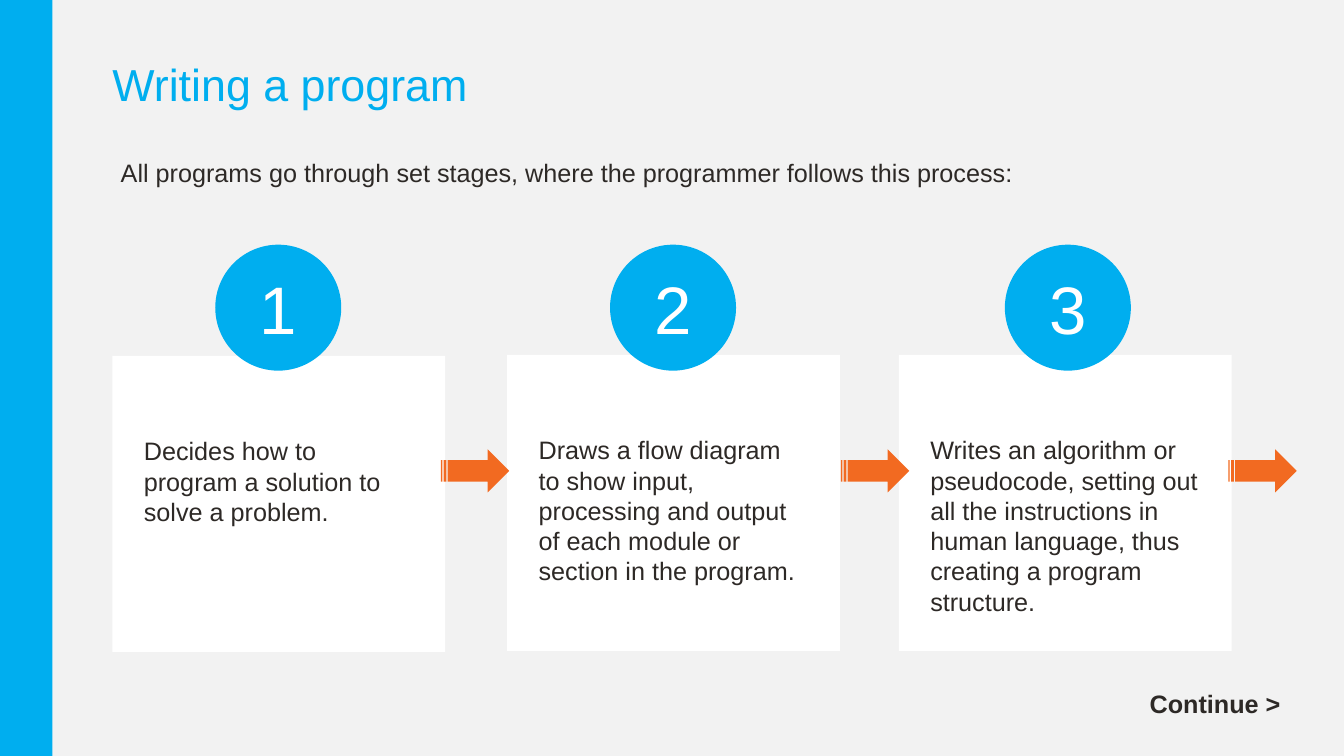
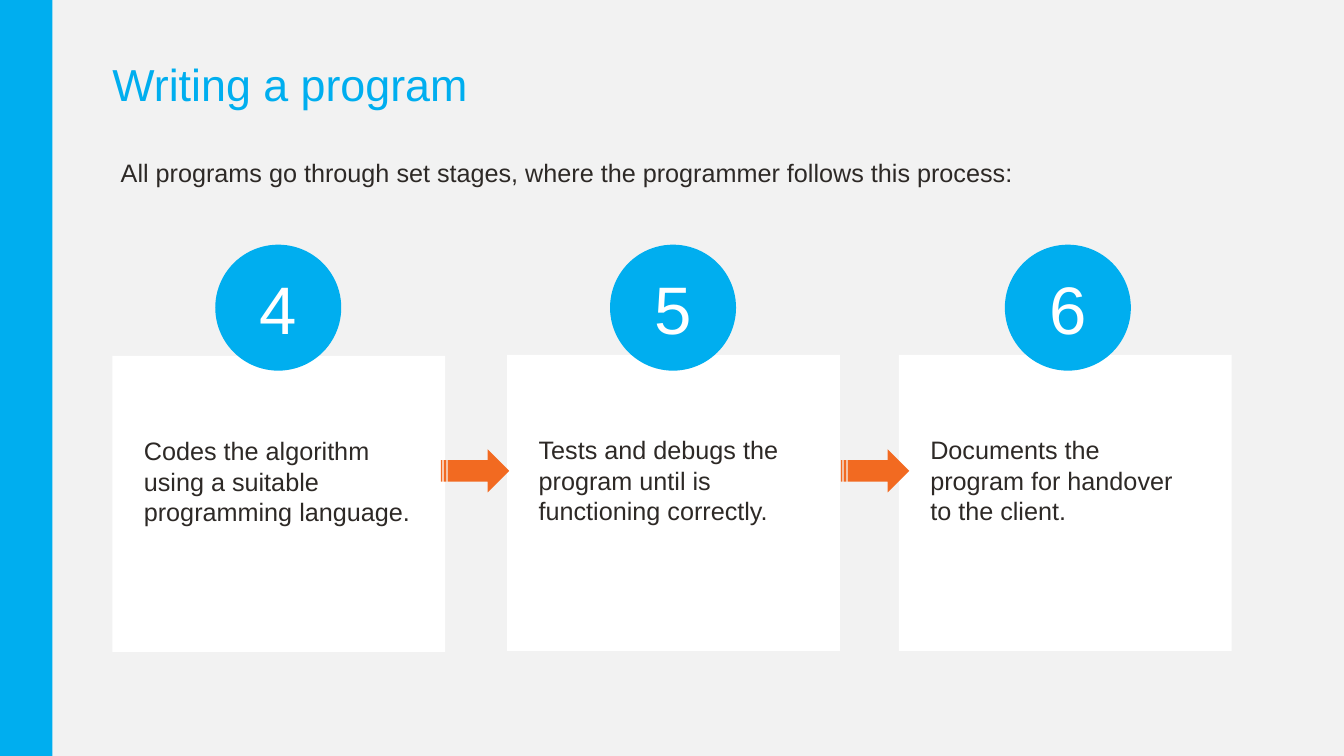
"""Build two slides on the stages of writing a program."""
import dataclasses
import typing

import pptx
import pptx.dml.color
import pptx.enum.shapes
import pptx.enum.text
import pptx.util

SCALE = 9525
WIDTH, HEIGHT = 1280, 720
KIND = pptx.enum.shapes.MSO_SHAPE
ALIGN = pptx.enum.text.PP_ALIGN
ANCHOR = pptx.enum.text.MSO_ANCHOR


@dataclasses.dataclass(frozen=True)
class Theme:
    font: str = "Arial"
    page: str = "F2F2F2"
    blue: str = "00AEEF"
    orange: str = "F26A21"
    white: str = "FFFFFF"
    ink: str = "2D2926"
    title: int = 32
    body: int = 18
    digit: int = 48


@dataclasses.dataclass(frozen=True)
class Box:
    left: int
    top: int
    width: int
    height: int


@dataclasses.dataclass(frozen=True)
class Stage:
    digit: int
    words: str


@dataclasses.dataclass(frozen=True)
class Page:
    stages: tuple[Stage, ...]
    more: bool


THEME = Theme()
TITLE = "Writing a program"
INTRO = "All programs go through set stages, where the programmer follows this process:"
BAND = Box(0, 0, 50, HEIGHT)
HEAD = Box(107, 21, 910, 124)
LEAD = Box(105, 145, 1065, 38)
NEXT = Box(1085, 651, 145, 38)
CARDS = (Box(107, 339, 317, 282), Box(483, 338, 317, 282), Box(856, 338, 317, 282))
DISCS = tuple(Box(205 + 376 * col, 233, 120, 120) for col in range(3))
ARROWS = tuple(Box(left, 428, 65, 41) for left in (420, 801, 1170))
PAGES = (
    Page((
        Stage(1, "Decides how to program a solution to solve a problem."),
        Stage(2, "Draws a flow diagram to show input, processing and output of each "
                 "module or section in the program."),
        Stage(3, "Writes an algorithm or pseudocode, setting out all the instructions "
                 "in human language, thus creating a program structure."),
    ), True),
    Page((
        Stage(4, "Codes the algorithm using a suitable programming language."),
        Stage(5, "Tests and debugs the program until is functioning correctly."),
        Stage(6, "Documents the program for handover to the client."),
    ), False),
)


def px(size: int) -> pptx.util.Emu:
    return pptx.util.Emu(size * SCALE)


def place(box: Box) -> tuple[pptx.util.Emu, ...]:
    return tuple(px(size) for size in dataclasses.astuple(box))


def tint(code: str) -> pptx.dml.color.RGBColor:
    return pptx.dml.color.RGBColor.from_string(code)


def write(shape: typing.Any, words: str, *, size: int = THEME.body,
          color: str = THEME.ink, bold: bool = False, align: ALIGN = ALIGN.LEFT,
          anchor: ANCHOR = ANCHOR.TOP, inset: tuple[int, int, int, int] = (10, 5, 10, 5),
          wrap: bool = True, space: float = 1.0) -> None:
    frame = shape.text_frame
    frame.auto_size = pptx.enum.text.MSO_AUTO_SIZE.NONE
    frame.word_wrap = wrap
    frame.vertical_anchor = anchor
    frame.margin_left, frame.margin_top, frame.margin_right, frame.margin_bottom = map(px, inset)
    frame.text = words
    line = frame.paragraphs[0]
    line.alignment = align
    line.line_spacing = space
    font = line.runs[0].font
    font.name = THEME.font
    font.size = pptx.util.Pt(size)
    font.bold = bold
    font.color.rgb = tint(color)


def draw(slide: typing.Any, kind: KIND, box: Box, color: str) -> typing.Any:
    shape = slide.shapes.add_shape(kind, *place(box))
    shape.shadow.inherit = False
    shape.fill.solid()
    shape.fill.fore_color.rgb = tint(color)
    shape.line.fill.background()
    return shape


def frame(deck: typing.Any) -> typing.Any:
    slide = deck.slides.add_slide(deck.slide_layouts[5])
    slide.background.fill.solid()
    slide.background.fill.fore_color.rgb = tint(THEME.page)
    draw(slide, KIND.RECTANGLE, BAND, THEME.blue)
    title = slide.shapes.title
    title.left, title.top, title.width, title.height = place(HEAD)
    write(title, TITLE, size=THEME.title, color=THEME.blue, anchor=ANCHOR.MIDDLE,
          inset=(0, 0, 0, 0), space=0.9)
    write(slide.shapes.add_textbox(*place(LEAD)), INTRO)
    return slide


def build(deck: typing.Any, page: Page) -> None:
    slide = frame(deck)
    for stage, card, disc in zip(page.stages, CARDS, DISCS):
        write(draw(slide, KIND.RECTANGLE, card, THEME.white), stage.words,
              inset=(30, 76, 30, 5))
        write(draw(slide, KIND.OVAL, disc, THEME.blue), str(stage.digit),
              size=THEME.digit, color=THEME.white, align=ALIGN.CENTER, anchor=ANCHOR.MIDDLE)
    for arrow in ARROWS if page.more else ARROWS[:-1]:
        draw(slide, KIND.STRIPED_RIGHT_ARROW, arrow, THEME.orange)
    if page.more:
        write(slide.shapes.add_textbox(*place(NEXT)), "Continue >", bold=True, wrap=False)


def main() -> None:
    deck = pptx.Presentation()
    deck.slide_width, deck.slide_height = px(WIDTH), px(HEIGHT)
    for page in PAGES:
        build(deck, page)
    deck.save("out.pptx")


if __name__ == "__main__":
    main()
